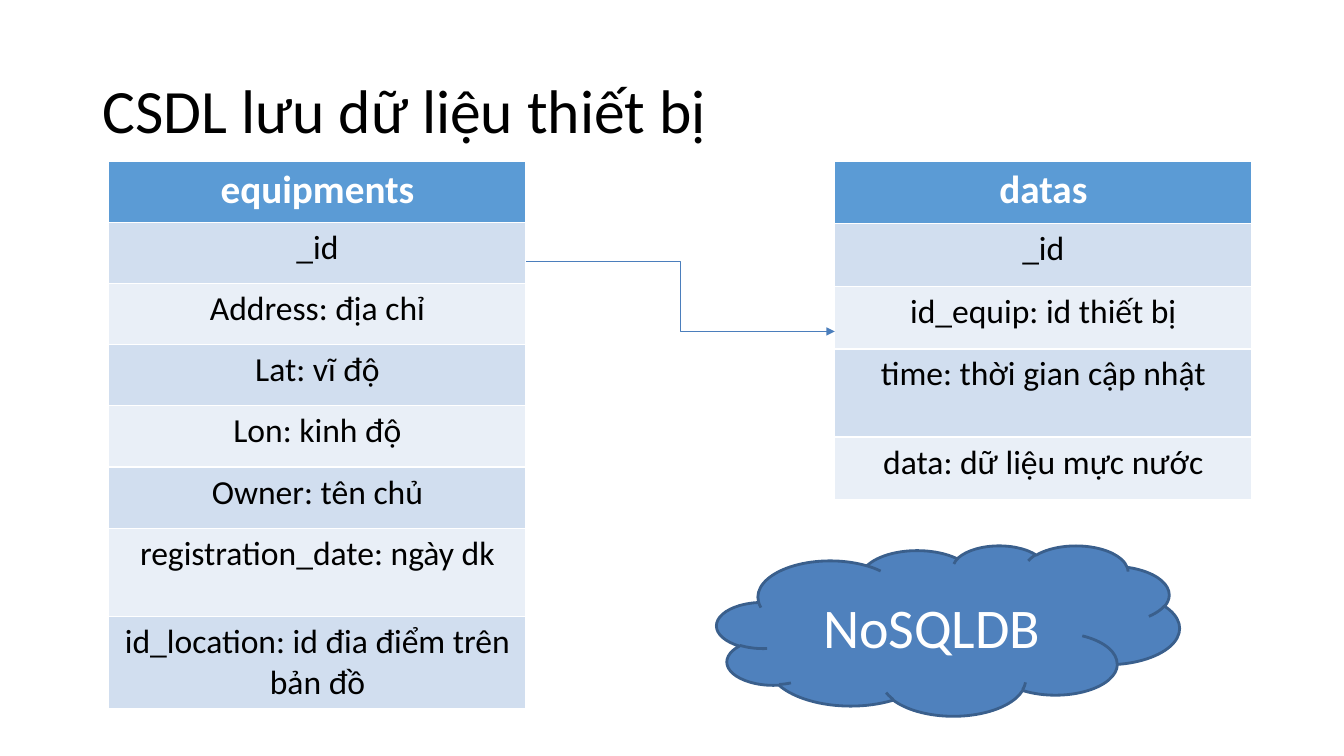
from pptx import Presentation
from pptx.dml.color import RGBColor
from pptx.enum.shapes import MSO_CONNECTOR as CONN, MSO_SHAPE as SHAPE
from pptx.enum.text import MSO_ANCHOR as ANCHOR, MSO_AUTO_SIZE as AUTO, PP_ALIGN as ALIGN
from pptx.oxml.ns import qn
from pptx.util import Pt
from lxml.etree import SubElement

ROW_FILLS = ("D1DEEF", "E9EFF7")
EQUIPMENTS = ("equipments", "_id", "Address: địa chỉ", "Lat: vĩ độ", "Lon: kinh độ",
              "Owner: tên chủ", "registration_date: ngày dk",
              "id_location: id đia điểm trên bản đồ")
DATAS = ("datas", "_id", "id_equip: id thiết bị", "time: thời gian cập nhật",
         "data: dữ liệu mực nước")


def color(value):
    return RGBColor.from_string(value)


def write(tf, text, size, fill, align=ALIGN.CENTER, bold=False):
    tf.text = text
    p = tf.paragraphs[0]
    p.alignment = align
    font = p.runs[0].font
    font.name = "Calibri"
    font.size = Pt(size)
    font.bold = bold
    font.color.rgb = color(fill)
    return p


def add_title(s, text, x, y, w, h):
    sp = s.shapes.title
    sp.left, sp.top, sp.width, sp.height = Pt(x), Pt(y), Pt(w), Pt(h)
    tf = sp.text_frame
    p = write(tf, text, 44, "000000", ALIGN.LEFT)
    p.line_spacing = 0.9
    tf.auto_size = AUTO.NONE
    tf.vertical_anchor = ANCHOR.MIDDLE


def add_schema(s, fields, heights, x, y, w):
    frame = s.shapes.add_table(len(fields), 1, Pt(x), Pt(y), Pt(w), Pt(sum(heights)))
    table = frame.table
    for i, (field, height) in enumerate(zip(fields, heights)):
        table.rows[i].height = Pt(height)
        cell = table.cell(i, 0)
        cell.fill.solid()
        if i == 0:
            cell.fill.fore_color.rgb = color("5B9BD5")
            write(cell.text_frame, field, 28, "FFFFFF", bold=True)
        else:
            cell.fill.fore_color.rgb = color(ROW_FILLS[(i - 1) % 2])
            write(cell.text_frame, field, 24, "000000")


def add_link(s, x1, y1, x2, y2):
    link = s.shapes.add_connector(CONN.ELBOW, Pt(x1), Pt(y1), Pt(x2), Pt(y2))
    link.line.color.rgb = color("4B7EBC")
    link.line.width = Pt(0.75)
    SubElement(link.line._get_or_add_ln(), qn("a:tailEnd"), type="triangle")
    SubElement(link._element.spPr, qn("a:effectLst"))


def add_cloud(s, text, x, y, w, h):
    sp = s.shapes.add_shape(SHAPE.CLOUD, Pt(x), Pt(y), Pt(w), Pt(h))
    sp.shadow.inherit = False
    sp.fill.solid()
    sp.fill.fore_color.rgb = color("4F81BD")
    sp.line.color.rgb = color("3A5F8C")
    sp.line.width = Pt(2)
    sp.text_frame.word_wrap = True
    sp.text_frame.vertical_anchor = ANCHOR.MIDDLE
    write(sp.text_frame, text, 40, "FFFFFF")


def build_schema_slide(prs):
    s = prs.slides.add_slide(prs.slide_layouts[5])
    left, right, top, width = 77.75, 596.25, 115.2, 298
    add_title(s, "CSDL lưu dữ liệu thiết bị", 66, 28.8, 828, 104.4)
    add_schema(s, EQUIPMENTS, [43.7] * 6 + [63] * 2, left, top, width)
    add_schema(s, DATAS, [44.7] * 3 + [63, 44.7], right, top, width)
    add_link(s, left + width, 186.5, right, 236.8)
    add_cloud(s, "NoSQLDB", 512, 389.5, 330.5, 121.7)


def main():
    prs = Presentation()
    prs.slide_width, prs.slide_height = Pt(960), Pt(540)
    build_schema_slide(prs)
    prs.save("out.pptx")


if __name__ == "__main__":
    main()
